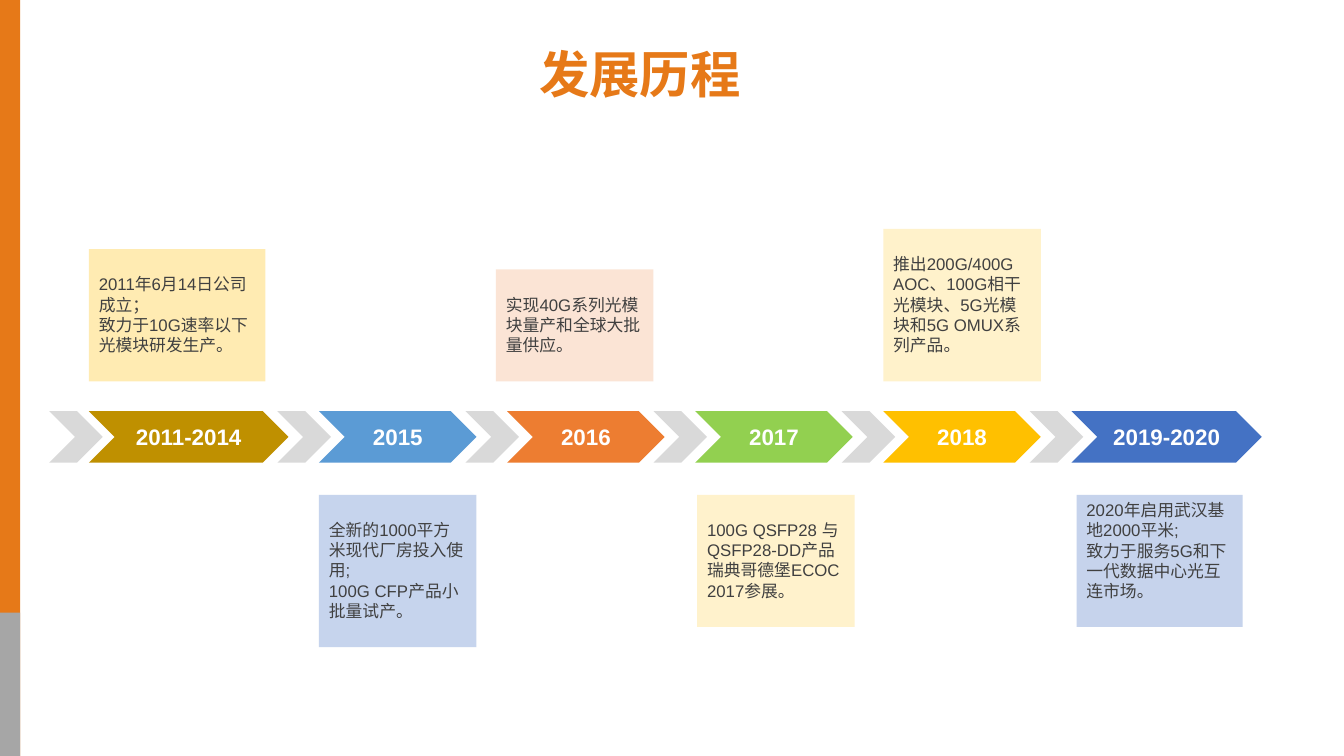
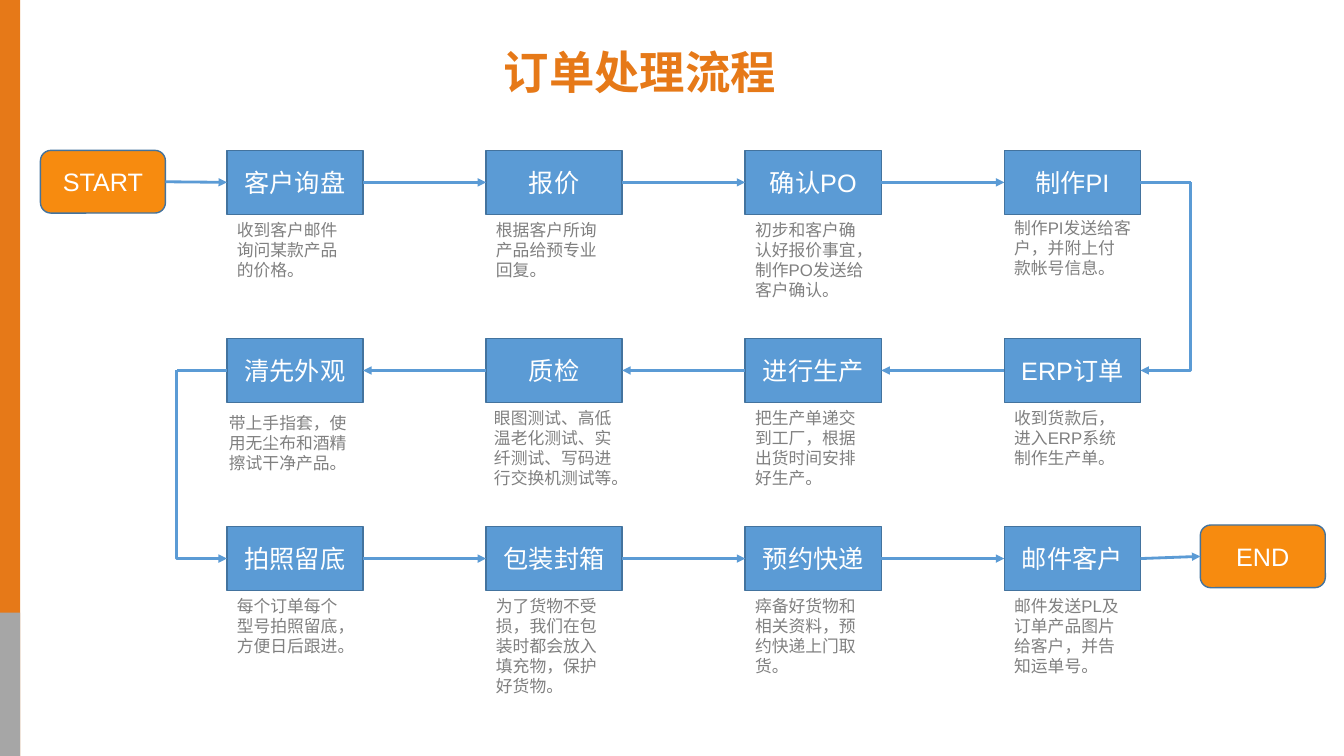
"""Build a company timeline slide and an order process slide."""
from dataclasses import dataclass

from lxml import etree
from pptx import Presentation
from pptx.dml.color import RGBColor
from pptx.enum import shapes, text
from pptx.oxml.ns import qn
from pptx.util import Cm, Pt

HISTORY = "发展历程"
MILESTONES = [
    dict(years="2011-2014", width=5.03, color="BF9000", above=True, shift=0, card=(4.45, 3.33),
         tint="FFD966", alpha=50, inset=0.63,
         lines=["2011年6月14日公司成立；", "致力于10G速率以下光模块研发生产。"]),
    dict(years="2015", width=3.97, color="5B9BD5", above=False, shift=0, card=(3.97, 3.84),
         tint="8FAADC", alpha=50, inset=0.63,
         lines=["全新的1000平方米现代厂房投入使用;", "100G CFP产品小批量试产。"]),
    dict(years="2016", width=3.97, color="ED7D31", above=True, shift=-0.28, card=(3.97, 2.82),
         tint="F8CBAD", alpha=50, inset=0.63,
         lines=["实现40G系列光模块量产和全球大批量供应。"]),
    dict(years="2017", width=3.97, color="92D050", above=False, shift=0.05, card=(3.97, 3.33),
         tint="FFF2CC", alpha=100, inset=0.63,
         lines=["100G QSFP28 与 QSFP28-DD产品瑞典哥德堡ECOC 2017参展。"]),
    dict(years="2018", width=3.97, color="FFC000", above=True, shift=0, card=(3.97, 3.84),
         tint="FFE699", alpha=50, inset=0.63,
         lines=["推出200G/400G AOC、100G相干光模块、5G光模块和5G OMUX系列产品。"]),
    dict(years="2019-2020", width=4.8, color="4472C4", above=False, shift=0.13, card=(4.19, 3.33),
         tint="C6D3EC", alpha=100, inset=0.13,
         lines=["2020年启用武汉基地2000平米;", "致力于服务5G和下一代数据中心光互连市场。"]),
]

PROCESS = "订单处理流程"
STEPS = [
    ("客户询盘", "收到客户邮件询问某款产品的价格。"),
    ("报价", "根据客户所询产品给预专业回复。"),
    ("确认PO", "初步和客户确认好报价事宜，制作PO发送给客户确认。"),
    ("制作PI", "制作PI发送给客户，并附上付款帐号信息。"),
    ("ERP订单", "收到货款后，进入ERP系统制作生产单。"),
    ("进行生产", "把生产单递交到工厂，根据出货时间安排好生产。"),
    ("质检", "眼图测试、高低温老化测试、实纤测试、写码进行交换机测试等。"),
    ("清先外观", "带上手指套，使用无尘布和酒精擦试干净产品。"),
    ("拍照留底", "每个订单每个型号拍照留底，方便日后跟进。"),
    ("包装封箱", "为了货物不受损，我们在包装时都会放入填充物，保护好货物。"),
    ("预约快递", "瘁备好货物和相关资料，预约快递上门取货。"),
    ("邮件客户", "邮件发送PL及订单产品图片给客户，并告知运单号。"),
]
CAPTION_NUDGES = {"制作PI": (0, -0.05, 0), "质检": (-0.05, 0, 0.04), "清先外观": (-0.2, 0.13, 0.16)}


@dataclass(frozen=True)
class Theme:
    accent: str = "E67918"
    grey: str = "A6A6A6"
    gap: str = "D9D9D9"
    white: str = "FFFFFF"
    body: str = "404040"
    caption: str = "808080"
    step: str = "5B9BD5"
    outline: str = "43739E"
    terminal: str = "F78B0F"
    title_font: str = "Montserrat"
    font: str = "Arial"
    title_size: float = 36
    tight_title_size: float = 32.4
    step_size: float = 18
    year_size: float = 16
    body_size: float = 12


THEME = Theme()
PRESET = shapes.MSO_SHAPE
LINK = shapes.MSO_CONNECTOR
ALIGN = text.PP_ALIGN
ANCHOR = text.MSO_ANCHOR
LEFT_SITE, RIGHT_SITE = 1, 3


def rgb(color):
    return RGBColor.from_string(color)


def write(paragraph, words, size, color, font=THEME.font, bold=False, align=None):
    paragraph.alignment = align
    run = paragraph.add_run()
    run.text = words
    run.font.name = font
    run.font.size = Pt(size)
    run.font.bold = bold
    run.font.color.rgb = rgb(color)


def add_block(slide, preset, left, top, width, height, fill, line=None, alpha=100):
    block = slide.shapes.add_shape(preset, Cm(left), Cm(top), Cm(width), Cm(height))
    block.shadow.inherit = False
    block.fill.solid()
    block.fill.fore_color.rgb = rgb(fill)
    if alpha < 100:
        color = block.element.spPr.find(qn("a:solidFill"))[0]
        etree.SubElement(color, qn("a:alpha"), val=str(alpha * 1000))
    if line:
        block.line.color.rgb = rgb(line)
        block.line.width = Pt(1)
    else:
        block.line.fill.background()
    return block


def add_label(slide, preset, box, fill, words, size, line=None, bold=False):
    block = add_block(slide, preset, *box, fill, line)
    block.text_frame.vertical_anchor = ANCHOR.MIDDLE
    write(block.text_frame.paragraphs[0], words, size, THEME.white, bold=bold, align=ALIGN.CENTER)
    return block


def fill_text(frame, lines, color):
    frame.word_wrap = True
    frame.vertical_anchor = ANCHOR.TOP
    for index, words in enumerate(lines):
        paragraph = frame.add_paragraph() if index else frame.paragraphs[0]
        write(paragraph, words, THEME.body_size, color, align=ALIGN.LEFT)


def add_link(slide, kind, start, end, arrow=True):
    link = slide.shapes.add_connector(kind, *(Cm(value) for value in (*start, *end)))
    link.line.color.rgb = rgb(THEME.step)
    link.line.width = Pt(2)
    if arrow:
        etree.SubElement(link.line._get_or_add_ln(), qn("a:tailEnd"), type="triangle")
    etree.SubElement(link.element.spPr, qn("a:effectLst"))
    return link


def join(slide, source, target, forward=True):
    link = add_link(slide, LINK.STRAIGHT, (0, 0), (1, 1))
    link.begin_connect(source, RIGHT_SITE if forward else LEFT_SITE)
    link.end_connect(target, LEFT_SITE if forward else RIGHT_SITE)


def turn(slide, edge, top, bottom, on_right):
    """Lead out of a box edge, down the side and back into the row below."""
    reach = 1.27
    corner = edge + reach if on_right else edge - reach
    add_link(slide, LINK.STRAIGHT, (edge, top), (corner, top), arrow=False)
    center, middle = (edge + corner) / 2, (top + bottom) / 2
    half = (bottom - top) / 2
    near, far = (center - half, center + half) if on_right else (center + half, center - half)
    bend = add_link(slide, LINK.ELBOW, (near, middle - reach / 2), (far, middle + reach / 2))
    properties = bend.element.spPr
    properties.find(qn("a:xfrm")).set("rot", "5400000" if on_right else "16200000")
    properties.find(qn("a:prstGeom")).set("prst", "bentConnector2")


def add_titled_slide(deck, layout, words, size):
    slide = deck.slides.add_slide(layout)
    frame = slide.shapes.title.text_frame
    frame.auto_size = text.MSO_AUTO_SIZE.NONE
    frame.vertical_anchor = ANCHOR.TOP
    frame.paragraphs[0].line_spacing = 0.9
    write(frame.paragraphs[0], words, size, THEME.accent, THEME.title_font, True, ALIGN.CENTER)
    return slide


def style_layout(layout, slide):
    """Place the title and the side bands that every slide shares."""
    title = layout.placeholders[0]
    title.left, title.top, title.width, title.height = Cm(1.52), Cm(1.14), Cm(29.21), Cm(1.57)
    bands = [(0, 19.05, THEME.accent), (15.44, 3.61, THEME.grey)]
    for order, (top, height, color) in enumerate(bands):
        band = add_block(slide, PRESET.RECTANGLE, 0, top, 0.51, height, color)
        layout.element.cSld.spTree.insert(2 + order, band.element)


def draw_history(slide):
    left, top, height, gap = 2.24, 10.36, 1.3, 0.77
    above_bottom, below_top = 9.61, 12.47
    for stone in MILESTONES:
        add_block(slide, PRESET.CHEVRON, max(left - 1.05, 1.24), top, 1.35, height, THEME.gap)
        add_label(slide, PRESET.CHEVRON, (left, top, stone["width"], height), stone["color"],
                  stone["years"], THEME.year_size, bold=True)
        card_width, card_height = stone["card"]
        card_top = above_bottom - card_height if stone["above"] else below_top
        card = add_block(slide, PRESET.RECTANGLE, left + stone["shift"], card_top,
                         card_width, card_height, stone["tint"], alpha=stone["alpha"])
        card.text_frame.margin_top = Cm(stone["inset"])
        fill_text(card.text_frame, stone["lines"], THEME.body)
        left += stone["width"] + gap


def draw_process(slide):
    columns, left, top = 4, 5.72, 3.79
    width, height, column_pitch, row_pitch = 3.43, 1.61, 6.53, 4.74
    terminal = (3.15, 1.58)
    previous = add_label(slide, PRESET.ROUNDED_RECTANGLE, (1.02, 3.79, *terminal),
                         THEME.terminal, "START", THEME.step_size, THEME.outline)
    for index, (name, caption) in enumerate(STEPS):
        row, place = divmod(index, columns)
        forward = row % 2 == 0
        column = place if forward else columns - 1 - place
        x, y = left + column * column_pitch, top + row * row_pitch
        step = add_label(slide, PRESET.RECTANGLE, (x, y, width, height), THEME.step,
                         name, THEME.step_size, THEME.outline)
        if place or not row:
            join(slide, previous, step, forward)
        else:
            on_right = not forward
            edge = x + width if on_right else x
            middle = y + height / 2
            turn(slide, edge, middle - row_pitch, middle, on_right)
        dx, dy, extra = CAPTION_NUDGES.get(name, (0, 0, 0))
        note = slide.shapes.add_textbox(Cm(x + dx), Cm(y + height + dy),
                                        Cm(3.45 + extra), Cm(2.31))
        fill_text(note.text_frame, [caption], THEME.caption)
        previous = step
    end = add_label(slide, PRESET.ROUNDED_RECTANGLE, (30.25, 13.23, *terminal),
                    THEME.terminal, "END", THEME.step_size, THEME.outline)
    join(slide, previous, end)


def main():
    deck = Presentation()
    deck.slide_width, deck.slide_height = Cm(33.87), Cm(19.05)
    layout = deck.slide_layouts[5]
    history = add_titled_slide(deck, layout, HISTORY, THEME.title_size)
    style_layout(layout, history)
    draw_history(history)
    draw_process(add_titled_slide(deck, layout, PROCESS, THEME.tight_title_size))
    deck.save("out.pptx")


if __name__ == "__main__":
    main()
